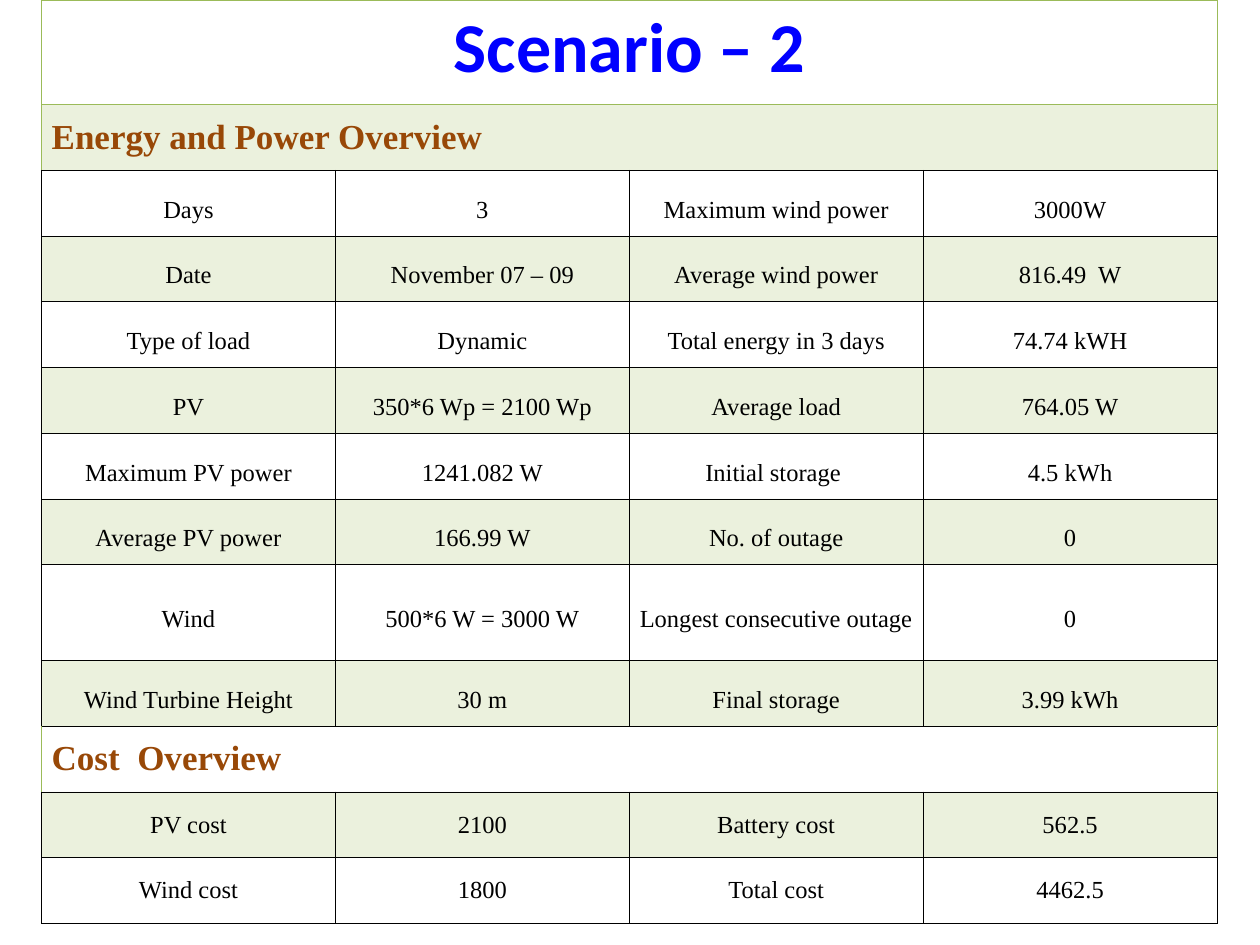
from dataclasses import dataclass

from lxml.etree import SubElement
from pptx import Presentation
from pptx.dml.color import RGBColor as RGB
from pptx.enum.text import MSO_ANCHOR as Anchor, PP_ALIGN as Align
from pptx.oxml import parse_xml
from pptx.oxml.ns import nsdecls, qn
from pptx.util import Inches, Pt


@dataclass(frozen=True)
class Theme:
    title: str = "0000FF"
    head: str = "984807"
    text: str = "000000"
    green: str = "9BBB59"
    tint: int = 20
    sans: str = "Calibri"
    serif: str = "Times New Roman"
    title_size: int = 40
    head_size: int = 20
    text_size: int = 14
    thin: float = 0.45
    thick: float = 0.96


T = Theme()
LEFT, WIDTH, HEIGHT, COLS = 0.33, 9.33, 7.33, 4
TITLE_ROW, WIND_ROW = 0.83, 0.76

TITLE = "Scenario – 2"
ENERGY = [
    ("Days", "3", "Maximum wind power", "3000W"),
    ("Date", "November 07 – 09", "Average wind power", "816.49  W"),
    ("Type of load", "Dynamic", "Total energy in 3 days", "74.74 kWH"),
    ("PV", "350*6 Wp = 2100 Wp", "Average load", "764.05 W"),
    ("Maximum PV power", "1241.082 W", "Initial storage ", "4.5 kWh"),
    ("Average PV power", "166.99 W", "No. of outage", "0"),
    ("Wind", "500*6 W = 3000 W", "Longest consecutive outage", "0"),
    ("Wind Turbine Height", "30 m", "Final storage", "3.99 kWh"),
]
COST = [
    ("PV cost", "2100", "Battery cost", "562.5"),
    ("Wind cost", "1800", "Total cost", "4462.5"),
]
GRID = dict.fromkeys("LRTB", (T.text, T.thin))
SIDES = dict.fromkeys("LR", (T.green, T.thin))
TITLE_FONT = {"name": T.sans, "size": Pt(T.title_size), "bold": True}
HEAD_FONT = {"name": T.serif, "size": Pt(T.head_size), "bold": True}
TEXT_FONT = {"name": T.serif, "size": Pt(T.text_size), "bold": False}


def shade(cell, tinted):
    """Fill with translucent green, or leave clear."""
    if not tinted:
        cell.fill.background()
        return
    cell.fill.solid()
    cell.fill.fore_color.rgb = RGB.from_string(T.green)
    color = cell._tc.tcPr.find(qn("a:solidFill"))[0]
    SubElement(color, qn("a:alpha"), val=str(T.tint * 1000))


def edge(cell, lines):
    """Draw borders; their elements must stand before the fill."""
    for place, side in enumerate("LRTB"):
        color, width = lines[side]
        cell._tc.tcPr.insert(place, parse_xml(
            f'<a:ln{side} {nsdecls("a")} w="{Pt(width)}"><a:solidFill>'
            f'<a:srgbClr val="{color}"/></a:solidFill></a:ln{side}>'))


def write(cell, text, font, color, align=Align.CENTER, space=None):
    cell.text = text
    para = cell.text_frame.paragraphs[0]
    para.alignment = align
    para.line_spacing = space
    run = para.runs[0].font
    for name, value in font.items():
        setattr(run, name, value)
    run.color.rgb = RGB.from_string(color)


def style(row, tinted, lines, pad=0.08):
    for cell in row.cells:
        cell.margin_left = cell.margin_right = Inches(pad)
        cell.margin_top = cell.margin_bottom = Inches(0.05)
        cell.vertical_anchor = Anchor.MIDDLE
        shade(cell, tinted)
        edge(cell, lines)


def span(table, index):
    first = table.cell(index, 0)
    first.merge(table.cell(index, COLS - 1))
    return first


def add_head(table, index, text, tinted, top):
    style(table.rows[index], tinted, GRID | SIDES | {"T": top})
    write(span(table, index), text, HEAD_FONT, T.head, Align.LEFT)


def add_rows(table, start, data, space=None):
    for index, texts in enumerate(data, start):
        row = table.rows[index]
        style(row, index % 2 == 1, GRID)
        for cell, text in zip(row.cells, texts):
            write(cell, text, TEXT_FONT, T.text, space=space)


def add_title(table):
    lines = SIDES | {"T": (T.green, T.thin), "B": (T.green, T.thick)}
    style(table.rows[0], False, lines, pad=0.1)
    cell = span(table, 0)
    cell.vertical_anchor = Anchor.TOP
    write(cell, TITLE, TITLE_FONT, T.title)


def add_grid(slide, count, tall):
    """Add a plain table with one tall row besides the title row."""
    table = slide.shapes.add_table(
        count, COLS, Inches(LEFT), 0, Inches(WIDTH), Inches(HEIGHT)).table
    table.first_row = table.horz_banding = False
    for col in table.columns:
        col.width = Inches(WIDTH / COLS)
    usual = (HEIGHT - TITLE_ROW - WIND_ROW) / (count - 2)
    special = {0: TITLE_ROW, tall: WIND_ROW}
    for index, row in enumerate(table.rows):
        row.height = Inches(special.get(index, usual))
    return table


def main():
    deck = Presentation()
    deck.slide_width, deck.slide_height = Inches(10), Inches(7.5)
    slide = deck.slides.add_slide(deck.slide_layouts[6])
    energy = 2
    cost = energy + len(ENERGY) + 1
    wind = energy + [row[0] for row in ENERGY].index("Wind")
    table = add_grid(slide, cost + len(COST), wind)
    add_title(table)
    add_head(table, energy - 1, "Energy and Power Overview", True,
             (T.green, T.thick))
    add_rows(table, energy, ENERGY, space=1.5)
    add_head(table, cost - 1, "Cost  Overview", False, GRID["T"])
    add_rows(table, cost, COST)
    deck.save("out.pptx")


if __name__ == "__main__":
    main()
